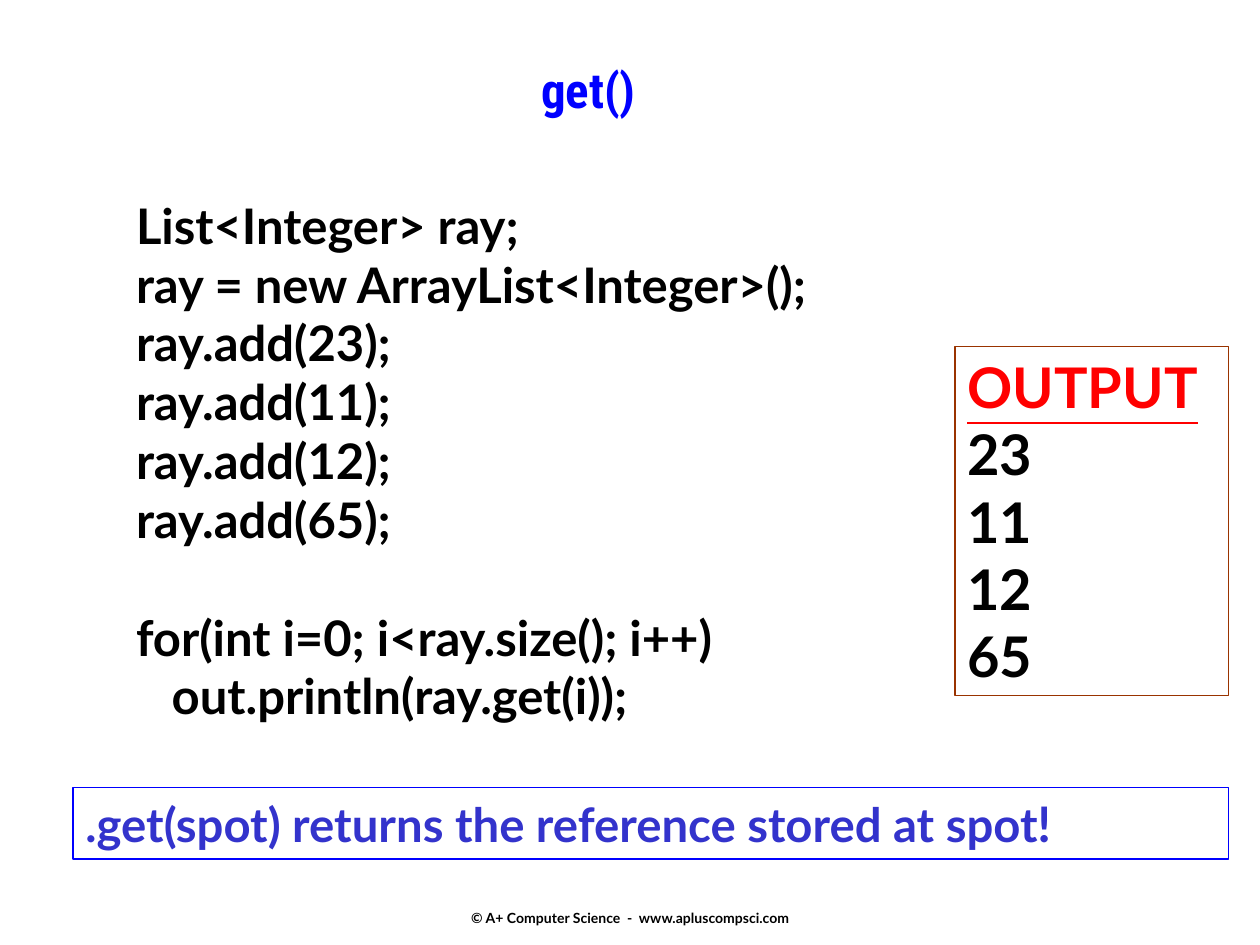
from pptx import Presentation
from pptx.dml.color import RGBColor
from pptx.enum import shapes, text
from pptx.oxml.ns import qn
from pptx.util import Inches, Pt
from lxml import etree

COLORS = {"black": "000000", "blue": "0000FF", "indigo": "3333CC",
          "red": "FF0000", "brown": "993300"}
CODE = ["List<Integer> ray;", "ray = new ArrayList<Integer>();",
        "ray.add(23);", "ray.add(11);", "ray.add(12);", "ray.add(65);",
        "for(int i=0; i<ray.size(); i++)", "   out.println(ray.get(i));"]
LOOP_LINE = 6
OUTPUT_VALUES = ["23", "11", "12", "65"]


class SlideBuilder:
    body_font = "Lato"
    title_font = "Roboto Condensed"

    def __init__(self, slide):
        self.slide = slide

    def place(self, shape, box):
        for name, value in zip(("left", "top", "width", "height"), box):
            setattr(shape, name, Inches(value))

    def frame(self, shape, **changes):
        values = {"word_wrap": False, "auto_size": text.MSO_AUTO_SIZE.NONE,
                  "vertical_anchor": text.MSO_ANCHOR.TOP,
                  "margin_left": Inches(0.1), "margin_right": Inches(0.1),
                  "margin_top": Inches(0.05), "margin_bottom": Inches(0.05)}
        for name, value in {**values, **changes}.items():
            setattr(shape.text_frame, name, value)
        return shape.text_frame

    def run(self, paragraph, words, size, color="black", **changes):
        run = paragraph.add_run()
        run.text = words
        values = {"name": self.body_font, "size": Pt(size), "bold": True}
        for name, value in {**values, **changes}.items():
            setattr(run.font, name, value)
        run.font.color.rgb = RGBColor.from_string(COLORS[color])

    def title(self, words, box):
        shape = self.slide.shapes.title
        self.place(shape, box)
        paragraph = self.frame(shape).paragraphs[0]
        paragraph.alignment = text.PP_ALIGN.CENTER
        self.run(paragraph, words, 28, "blue", name=self.title_font)

    def code(self, lines, box, gap_before):
        shape = self.slide.placeholders[1]
        self.place(shape, box)
        frame = self.frame(shape)
        for index, line in enumerate(lines):
            paragraph = frame.add_paragraph() if index else frame.paragraphs[0]
            properties = paragraph._p.get_or_add_pPr()
            properties.set("marL", "0")
            properties.set("indent", "0")
            etree.SubElement(properties, qn("a:buNone"))
            paragraph.alignment = text.PP_ALIGN.LEFT
            paragraph.space_before = Pt(33.6 if index == gap_before else 0)
            self.run(paragraph, line, 28)

    def outlined_box(self, box, color):
        shape = self.slide.shapes.add_shape(
            shapes.MSO_SHAPE.RECTANGLE, *map(Inches, box))
        shape.shadow.inherit = False
        shape.fill.background()
        shape.line.color.rgb = RGBColor.from_string(COLORS[color])
        shape.line.width = Pt(1)
        paragraph = self.frame(shape, word_wrap=True).paragraphs[0]
        paragraph.alignment = text.PP_ALIGN.LEFT
        return paragraph

    def footer(self, words, box):
        shape = self.slide.shapes.add_textbox(*map(Inches, box))
        frame = self.frame(shape, vertical_anchor=text.MSO_ANCHOR.MIDDLE)
        paragraph = frame.paragraphs[0]
        paragraph.alignment = text.PP_ALIGN.CENTER
        self.run(paragraph, words, 8)


def main():
    presentation = Presentation()
    presentation.slide_width = Inches(10)
    presentation.slide_height = Inches(7.5)
    slide = presentation.slides.add_slide(presentation.slide_layouts[1])
    builder = SlideBuilder(slide)

    # Title and code
    builder.title("get()", (1.17, 0.42, 7, 0.75))
    builder.code(CODE, (0.98, 1.5, 6.22, 4.31), LOOP_LINE)

    # Program output
    output = builder.outlined_box((7.58, 2.75, 2.17, 2.77), "brown")
    builder.run(output, "OUTPUT", 32, "red", underline=True)
    for value in OUTPUT_VALUES:
        output.add_line_break()
        builder.run(output, value, 32)

    # Summary
    summary = builder.outlined_box((0.58, 6.25, 9.17, 0.57), "blue")
    builder.run(summary, ".get(spot) returns the reference stored at spot",
                27, "indigo")
    builder.run(summary, "!", 28, "indigo")

    # Footer
    builder.footer("© A+ Computer Science  -  www.apluscompsci.com",
                   (3.42, 7.1, 3.17, 0.37))
    presentation.save("out.pptx")


if __name__ == "__main__":
    main()
